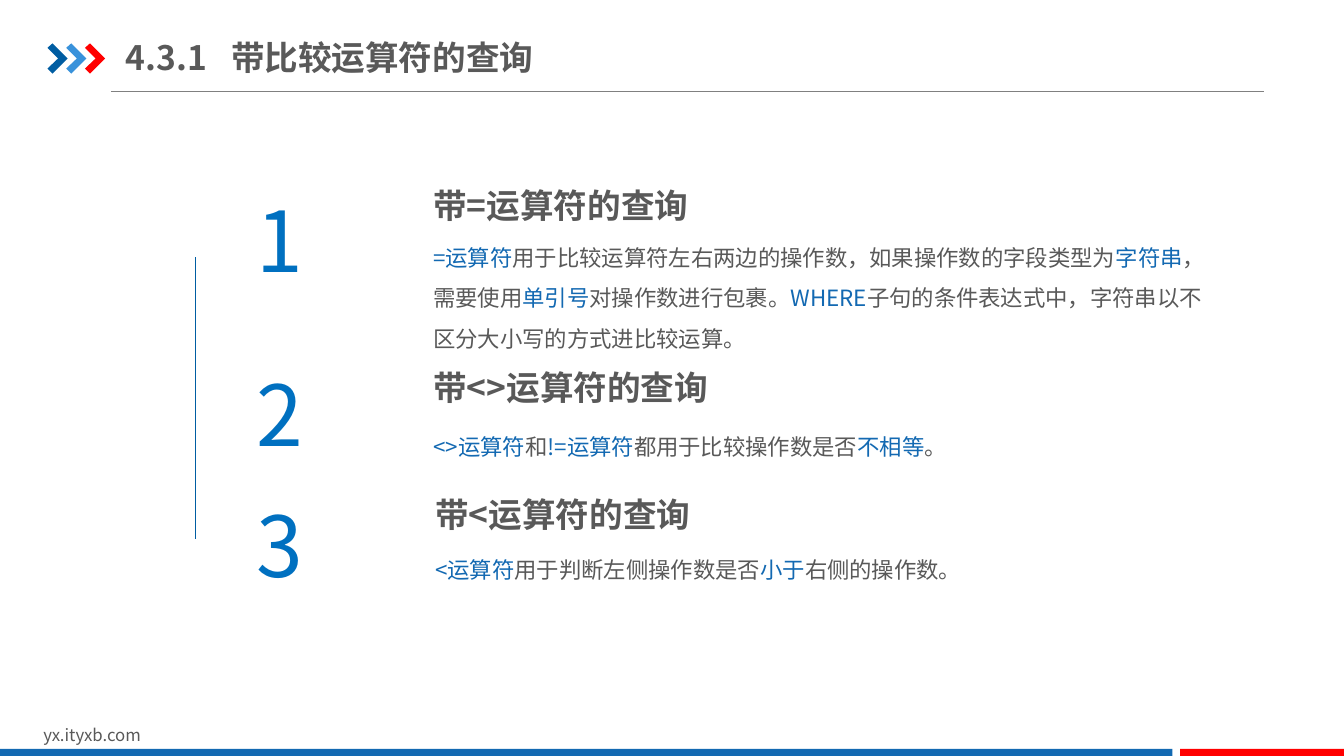
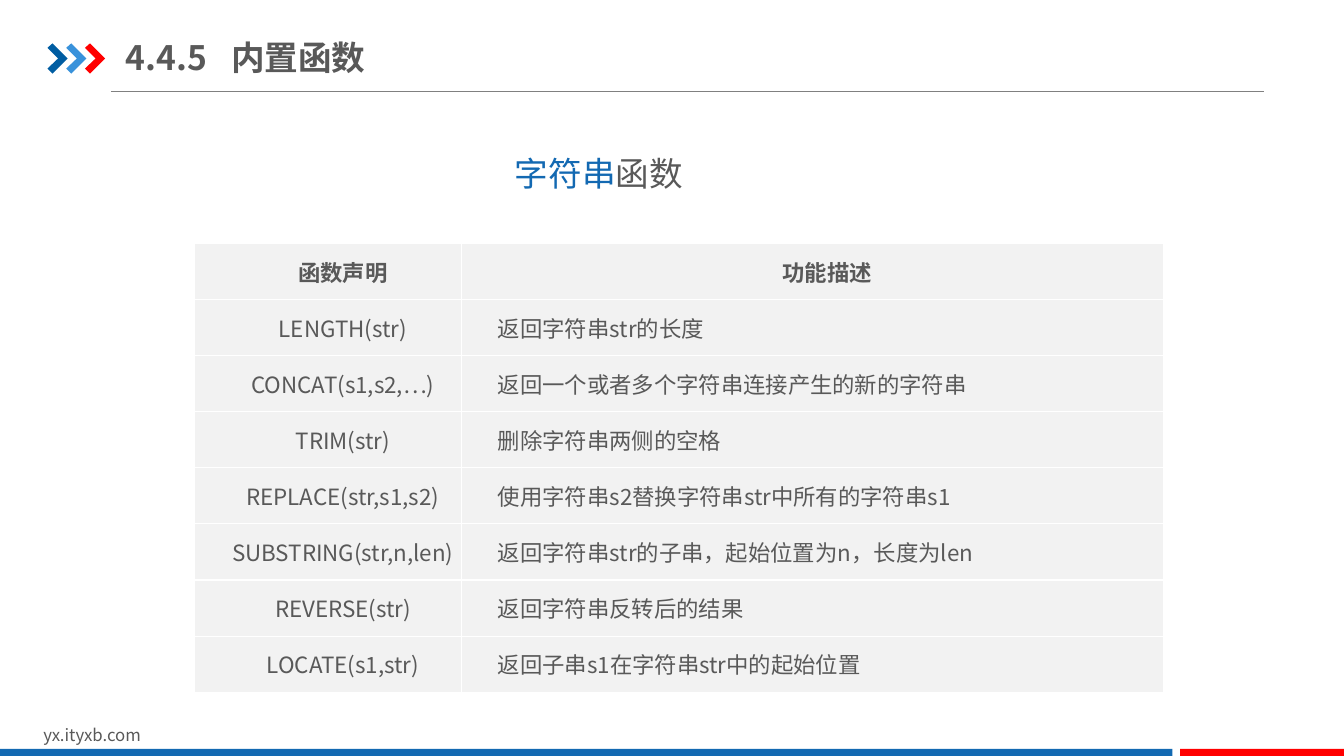
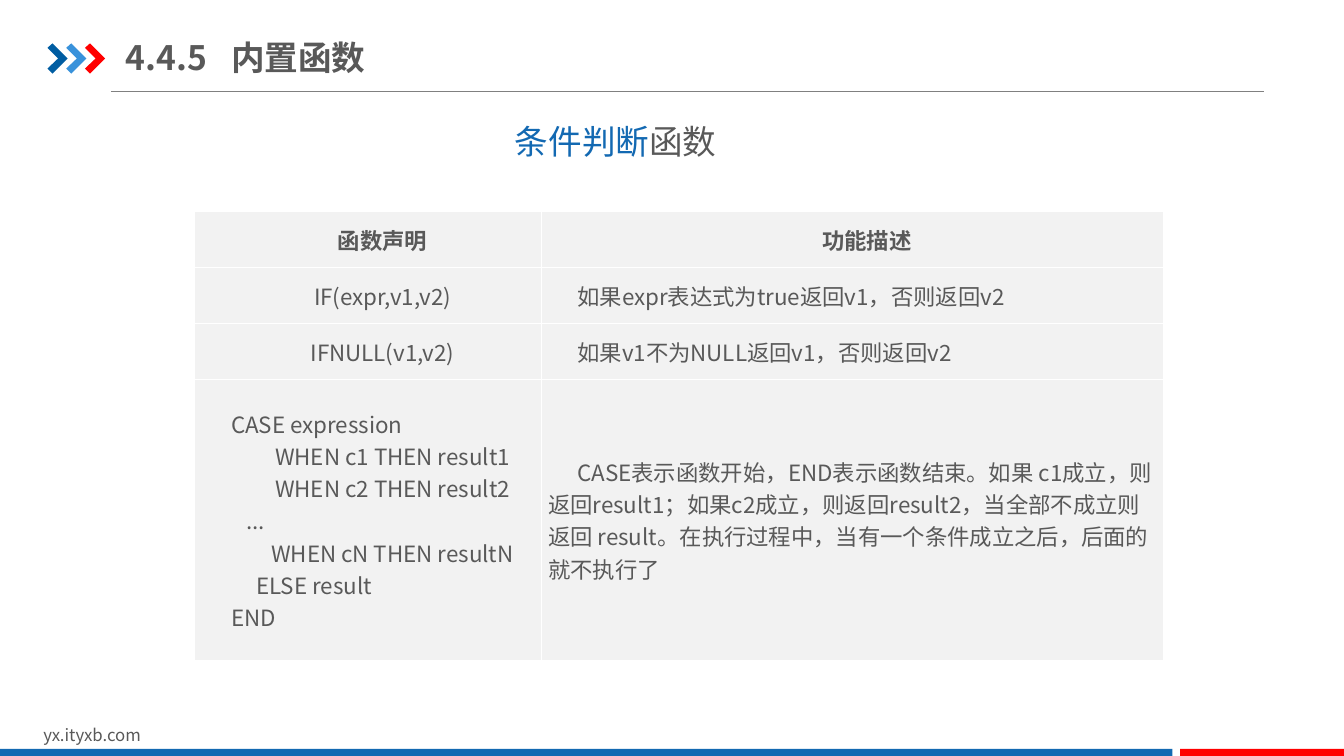
from dataclasses import dataclass

import lxml.etree
import pptx
import pptx.dml.color
import pptx.enum.shapes
import pptx.enum.text
import pptx.oxml.ns
import pptx.util

Pt = pptx.util.Pt
qn = pptx.oxml.ns.qn
PP_ALIGN = pptx.enum.text.PP_ALIGN
ANCHOR = pptx.enum.text.MSO_ANCHOR


@dataclass(frozen=True)
class Theme:
    font: str = "Noto Sans CJK SC"
    text: str = "595959"
    accent: str = "1369B2"
    navy: str = "005DA2"
    sky: str = "3992DB"
    red: str = "FF0000"
    number: str = "0070C0"
    rule: str = "808080"
    cell: str = "F2F2F2"
    border: str = "FFFFFF"
    heading_size: float = 24
    body_size: float = 16
    footer_size: float = 12
    number_size: float = 60


THEME = Theme()
TITLE_ONLY = 5
FIRST_LINE_INDENT = 20.9


def rgb(color):
    return pptx.dml.color.RGBColor.from_string(color)


def format_run(run, size, color, bold=False):
    run.font.size = Pt(size)
    run.font.bold = bold
    run.font.name = THEME.font
    run.font.color.rgb = rgb(color)
    east_asian = lxml.etree.SubElement(run.font._element, qn("a:ea"))
    east_asian.set("typeface", THEME.font)


def write_parts(paragraph, parts, size, bold=False):
    """Write (text, colour) parts as the runs of one paragraph."""
    for text, color in parts:
        run = paragraph.add_run()
        run.text = text
        format_run(run, size, color, bold)


def add_label(slide, box, parts, size, bold=False, inset=(7.2, 3.6), spacing=None):
    frame = slide.shapes.add_textbox(*map(Pt, box)).text_frame
    frame.word_wrap = True
    frame.margin_left = frame.margin_right = Pt(inset[0])
    frame.margin_top = frame.margin_bottom = Pt(inset[1])
    paragraph = frame.paragraphs[0]
    if spacing is not None:
        paragraph.line_spacing = spacing
    write_parts(paragraph, parts, size, bold)


def add_rule(slide, start, end, color, width):
    rule = slide.shapes.add_connector(
        pptx.enum.shapes.MSO_CONNECTOR.STRAIGHT, *map(Pt, start + end))
    rule.line.color.rgb = rgb(color)
    rule.line.width = Pt(width)
    lxml.etree.SubElement(rule._element.spPr, qn("a:effectLst"))


def paint(shape, color):
    shape.shadow.inherit = False
    shape.fill.solid()
    shape.fill.fore_color.rgb = rgb(color)
    shape.line.fill.background()


# Shared parts
def add_chevrons(slide, left, top, pitch=13.4):
    outline = [(0, 3.2), (3.6, 0), (14.4, 10.8), (3.6, 21.6), (0, 18), (7.6, 10.8)]
    for index, color in enumerate((THEME.navy, THEME.sky, THEME.red)):
        points = [(Pt(left + index * pitch + x), Pt(top + y)) for x, y in outline]
        builder = slide.shapes.build_freeform(*points[0])
        builder.add_line_segments(points[1:], close=True)
        paint(builder.convert_to_shape(), color)


def add_footer(slide, top):
    add_label(slide, (23.8, top, 229, 21.6), [("yx.ityxb.com", THEME.text)],
              THEME.footer_size)
    for left, width, color in ((0, 837.4, THEME.accent), (843, 117, THEME.red)):
        band = slide.shapes.add_shape(
            pptx.enum.shapes.MSO_SHAPE.RECTANGLE,
            Pt(left), Pt(top + 21), Pt(width), Pt(5))
        paint(band, color)


def furnish_layout(deck, layout):
    """Draw the shared parts on the first slide, then move them to the layout."""
    slide = deck.slides.add_slide(layout)
    add_rule(slide, (79.2, 65.5), (902.9, 65.5), THEME.rule, 0.75)
    add_chevrons(slide, 33.9, 31)
    add_footer(slide, 514)
    for shape in list(slide.shapes):
        if not shape.is_placeholder:
            layout.shapes.element.append(shape.element)
    return slide


def write_title(slide, section, name):
    title = slide.shapes.title
    title.left, title.top, title.width, title.height = map(Pt, (90, 20.9, 306.7, 39.6))
    frame = title.text_frame
    frame.text = f"{section}\t{name}"
    frame.word_wrap = True
    frame.auto_size = pptx.enum.text.MSO_AUTO_SIZE.NONE
    frame.vertical_anchor = ANCHOR.MIDDLE
    frame.margin_left = frame.margin_right = 0
    frame.margin_top = frame.margin_bottom = Pt(5)
    paragraph = frame.paragraphs[0]
    paragraph.alignment = PP_ALIGN.LEFT
    tabs = lxml.etree.SubElement(paragraph._p.get_or_add_pPr(), qn("a:tabLst"))
    lxml.etree.SubElement(tabs, qn("a:tab"), pos=str(Pt(75)), algn="l")
    for run in paragraph.runs:
        format_run(run, THEME.heading_size, THEME.text, bold=True)


# Numbered operators
@dataclass(frozen=True)
class Operator:
    symbol: str
    left: float
    top: float
    heading_width: float
    number_shift: float
    body_shift: float
    body_size: tuple
    body_spacing: float
    body: list


def add_operator(slide, number, operator):
    left, top = operator.left, operator.top
    add_label(slide, (179.3, top + operator.number_shift, 105.8, 79.2),
              [(str(number), THEME.number)], THEME.number_size, inset=(3.6, 3.6))
    add_label(slide, (left, top, operator.heading_width, 36),
              [(f"带{operator.symbol}运算符的查询", THEME.text)],
              THEME.heading_size, bold=True)
    add_label(slide, (left, top + operator.body_shift, *operator.body_size),
              operator.body, THEME.body_size, spacing=operator.body_spacing)


def fill_operator_slide(slide, operators):
    add_rule(slide, (139.7, 183.6), (139.7, 385.2), THEME.navy, 1)
    for number, operator in enumerate(operators, 1):
        add_operator(slide, number, operator)


# Function tables
def format_cell(cell, text, centred, bold):
    """Centred holds one flag per line of the text."""
    cell.text = text
    cell.vertical_anchor = ANCHOR.MIDDLE
    cell.margin_left = cell.margin_right = Pt(5)
    cell.margin_top = cell.margin_bottom = 0
    for paragraph, centre in zip(cell.text_frame.paragraphs, centred):
        paragraph.alignment = PP_ALIGN.CENTER if centre else PP_ALIGN.LEFT
        paragraph._p.get_or_add_pPr().set("indent", str(Pt(FIRST_LINE_INDENT)))
        for run in paragraph.runs:
            format_run(run, THEME.body_size, THEME.text, bold)
    properties = cell._tc.get_or_add_tcPr()
    for side in ("lnL", "lnR", "lnT", "lnB"):
        border = lxml.etree.SubElement(properties, qn(f"a:{side}"), w=str(Pt(1)))
        fill = lxml.etree.SubElement(border, qn("a:solidFill"))
        lxml.etree.SubElement(fill, qn("a:srgbClr"), val=THEME.border)
    cell.fill.solid()
    cell.fill.fore_color.rgb = rgb(THEME.cell)


def add_function_table(slide, left, top, widths, heights, functions):
    rows = [("函数声明", "功能描述"), *functions]
    table = slide.shapes.add_table(
        len(rows), len(widths), Pt(left), Pt(top),
        Pt(sum(widths)), Pt(sum(heights))).table
    table.horz_banding = False
    for column, width in zip(table.columns, widths):
        column.width = Pt(width)
    for row, height in zip(table.rows, heights):
        row.height = Pt(height)
    for r, row in enumerate(rows):
        for c, text in enumerate(row):
            lines = text.split("\n")
            # In a code listing only the WHEN lines are centred
            centred = [r == 0 or c == 0 and (len(lines) == 1 or "WHEN" in line)
                       for line in lines]
            format_cell(table.cell(r, c), text, centred, bold=r == 0)


def fill_function_slide(slide, top, kind, kind_width, widths, heights, functions):
    add_label(slide, (360.7, top, kind_width, 36),
              [(kind, THEME.accent), ("函数", THEME.text)], THEME.heading_size)
    add_function_table(slide, 139.2, top + 68, widths, heights, functions)


# Content
OPERATORS = [
    Operator("=", 302.4, 128.2, 213, 2.9, 33.1, (563.8, 94.3), 1.5, [
        ("=运算符", THEME.accent),
        ("用于比较运算符左右两边的操作数，如果操作数的字段类型为", THEME.text),
        ("字符串", THEME.accent),
        ("，需要使用", THEME.text),
        ("单引号", THEME.accent),
        ("对操作数进行包裹。", THEME.text),
        ("WHERE", THEME.accent),
        ("子句的条件表达式中，字符串以不区分大小写的方式进比较运算。", THEME.text),
    ]),
    Operator("<>", 302.4, 258.5, 250, -2.9, 48.2, (554.4, 25.2), Pt(18), [
        ("<>运算符", THEME.accent),
        ("和", THEME.text),
        ("!=运算符", THEME.accent),
        ("都用于比较操作数是否", THEME.text),
        ("不相等", THEME.accent),
        ("。", THEME.text),
    ]),
    Operator("<", 303.8, 349.2, 213, 0, 45.4, (561.6, 25.2), Pt(18), [
        ("<运算符", THEME.accent),
        ("用于判断左侧操作数是否", THEME.text),
        ("小于", THEME.accent),
        ("右侧的操作数。", THEME.text),
    ]),
]

STRING_FUNCTIONS = [
    ("LENGTH(str)", "返回字符串str的长度"),
    ("CONCAT(s1,s2,…)", "返回一个或者多个字符串连接产生的新的字符串"),
    ("TRIM(str)", "删除字符串两侧的空格"),
    ("REPLACE(str,s1,s2)", "使用字符串s2替换字符串str中所有的字符串s1"),
    ("SUBSTRING(str,n,len)", "返回字符串str的子串，起始位置为n，长度为len"),
    ("REVERSE(str)", "返回字符串反转后的结果"),
    ("LOCATE(s1,str)", "返回子串s1在字符串str中的起始位置"),
]

CASE_CODE = """CASE expression
    WHEN c1 THEN result1
    WHEN c2 THEN result2
   ...
    WHEN cN THEN resultN
     ELSE result
END"""

CONDITION_FUNCTIONS = [
    ("IF(expr,v1,v2)", "如果expr表达式为true返回v1，否则返回v2"),
    ("IFNULL(v1,v2)", "如果v1不为NULL返回v1，否则返回v2"),
    (CASE_CODE,
     "CASE表示函数开始，END表示函数结束。如果 c1成立，则返回result1；"
     "如果c2成立，则返回result2，当全部不成立则返回 result。"
     "在执行过程中，当有一个条件成立之后，后面的就不执行了"),
]


def main():
    deck = pptx.Presentation()
    deck.slide_width, deck.slide_height = Pt(960), Pt(540)
    layout = deck.slide_layouts[TITLE_ONLY]

    comparison = furnish_layout(deck, layout)
    write_title(comparison, "4.3.1", "带比较运算符的查询")
    fill_operator_slide(comparison, OPERATORS)

    strings = deck.slides.add_slide(layout)
    write_title(strings, "4.4.5", "内置函数")
    fill_function_slide(strings, 105.8, "字符串", 136, (190.6, 501.4),
                        [40.1] * 8, STRING_FUNCTIONS)

    conditions = deck.slides.add_slide(layout)
    write_title(conditions, "4.4.5", "内置函数")
    fill_function_slide(conditions, 83, "条件判断", 160, (247.3, 444.7),
                        [40.1] * 3 + [200.5], CONDITION_FUNCTIONS)

    deck.save("out.pptx")


if __name__ == "__main__":
    main()
